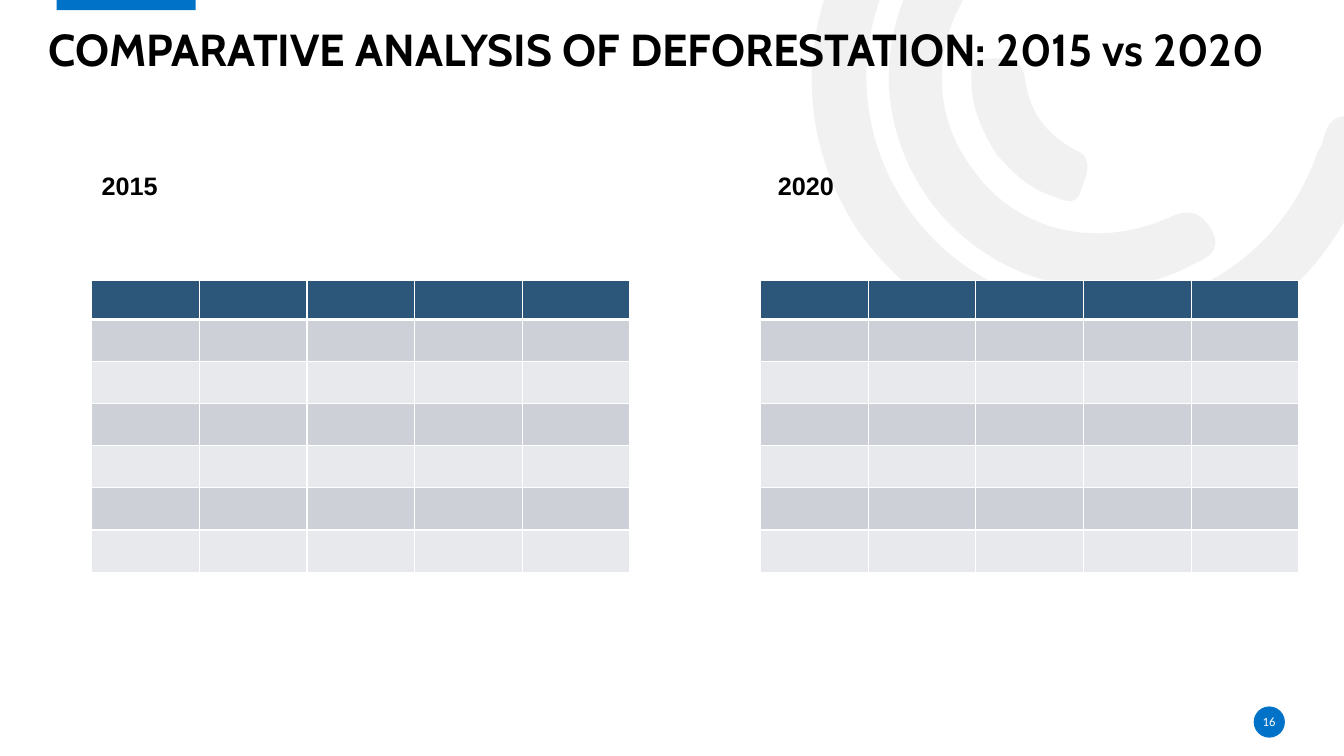
"""Build the slide comparing deforestation in 2015 and 2020."""
import math
from lxml import etree
from pptx import Presentation, util as u
from pptx.dml.color import RGBColor
from pptx.enum import shapes, text
from pptx.oxml import ns

TITLE = "COMPARATIVE ANALYSIS OF DEFORESTATION: 2015 vs 2020"
PAGE_NUMBER = "16"
YEARS = [("2015", 65.5, 65.5), ("2020", 548.6, 543.3)]
ROW_HEIGHTS = [28] + [30.1] * 6
COLUMN_COUNT, COLUMN_WIDTH, TABLE_TOP = 5, 76.9, 200.2
HEADER, BANDS = "2C567A", ["E8E9EC", "CDD1D7"]
BLUE, GREY, WHITE, BLACK = "0072C7", "E7E6E6", "FFFFFF", "000000"
GREY_OPACITY = 53
ARC_ROTATION = 324.2

ARCS = [
    ((585.4, -145.4, 349.2, 432), [
        (613, 165),
        (575, 107), (567, 36), (603, -36), (641, -109), (703, -146), (785, -149),
        (796, -149), (807, -151), (814, -140), (824, -126), (811, -111), (791, -111),
        (696, -111), (623, -42), (619, 49), (616, 130), (674, 202), (753, 217),
        (835, 233), (914, 188), (941, 109), (942, 107), (944, 104), (945, 101),
        (948, 86), (955, 80), (971, 84), (989, 89), (984, 102), (980, 112),
        (960, 176), (920, 221), (858, 246), (770, 279), (674, 248), (613, 165)]),
    ((648.7, -56.2, 153.4, 306.7), [
        (664, 143),
        (621, 83), (626, 5), (677, -49), (685, -57), (693, -68), (706, -56),
        (716, -46), (718, -36), (705, -23), (666, 19), (662, 78), (695, 121),
        (726, 165), (783, 179), (836, 155), (851, 148), (859, 153), (866, 165),
        (873, 180), (862, 184), (852, 189), (789, 223), (708, 203), (664, 143)]),
    ((705.6, 26.6, 56.2, 131.8), [
        (711, 109),
        (702, 94), (694, 77), (694, 59), (694, 53), (692, 41), (703, 42),
        (714, 42), (729, 38), (732, 55), (735, 79), (746, 95), (768, 107),
        (783, 113), (775, 127), (772, 136), (769, 148), (760, 143), (752, 140),
        (735, 135), (722, 122), (711, 109)]),
]


def paint(fill, color):
    fill.solid()
    fill.fore_color.rgb = RGBColor.from_string(color)


def finish(shape, color):
    paint(shape.fill, color)
    shape.line.fill.background()
    shape.shadow.inherit = False


def turn_back(point, box):
    left, top, width, height = box
    across, down = point[0] - left - width / 2, point[1] - top - height / 2
    cosine, sine = (f(math.radians(ARC_ROTATION)) for f in (math.cos, math.sin))
    return (u.Pt(across * cosine + down * sine + width / 2),
            u.Pt(down * cosine - across * sine + height / 2))


def add_arc(slide, box, points):
    local = [turn_back(point, box) for point in points]
    builder = slide.shapes.build_freeform(*local[0])
    builder.add_line_segments(local[3::3], close=True)
    shape = builder.convert_to_shape()
    shape.left, shape.top, shape.width, shape.height = map(u.Pt, box)
    shape.rotation = ARC_ROTATION
    finish(shape, GREY)
    color = shape.fill._xPr.find(".//" + ns.qn("a:srgbClr"))
    etree.SubElement(color, ns.qn("a:alpha"), val=str(GREY_OPACITY * 1000))

    outline = shape._element.find(".//" + ns.qn("a:pathLst"))[0]
    outline.set("w", str(shape.width))
    outline.set("h", str(shape.height))
    for command in list(outline):
        outline.remove(command)
    commands = [("a:moveTo", local[:1])]
    commands += [("a:cubicBezTo", local[i:i + 3]) for i in range(1, len(local), 3)]
    for tag, corners in commands + [("a:close", [])]:
        command = etree.SubElement(outline, ns.qn(tag))
        for x, y in corners:
            etree.SubElement(command, ns.qn("a:pt"), x=str(x), y=str(y))


def add_shape(slide, kind, box, color, rotation=0):
    shape = slide.shapes.add_shape(kind, *map(u.Pt, box))
    shape.rotation = rotation
    finish(shape, color)


def add_text(slide, words, box, font, size, color=BLACK, bold=True, inset=0,
             anchor=text.MSO_ANCHOR.TOP, align=text.PP_ALIGN.LEFT, spacing=1.0):
    frame = slide.shapes.add_textbox(*map(u.Pt, box)).text_frame
    frame.word_wrap = True
    frame.vertical_anchor = anchor
    frame.margin_left = frame.margin_right = u.Pt(inset)
    frame.margin_top = frame.margin_bottom = u.Pt(inset / 2)
    paragraph = frame.paragraphs[0]
    paragraph.text = words
    paragraph.alignment = align
    paragraph.line_spacing = spacing
    paragraph.font.name, paragraph.font.size, paragraph.font.bold = font, u.Pt(size), bold
    paragraph.font.color.rgb = RGBColor.from_string(color)


def add_borders(cell, row):
    widths = {"L": 1, "R": 1, "T": 3 if row == 1 else 1, "B": 3 if row == 0 else 1}
    properties = cell._tc.get_or_add_tcPr()
    for side, width in widths.items():
        line = etree.SubElement(properties, ns.qn("a:ln" + side), w=str(u.Pt(width)))
        solid = etree.SubElement(line, ns.qn("a:solidFill"))
        etree.SubElement(solid, ns.qn("a:srgbClr"), val=WHITE)


def add_year_table(slide, left):
    box = (left, TABLE_TOP, COLUMN_COUNT * COLUMN_WIDTH, sum(ROW_HEIGHTS))
    table = slide.shapes.add_table(len(ROW_HEIGHTS), COLUMN_COUNT, *map(u.Pt, box)).table
    for column in table.columns:
        column.width = u.Pt(COLUMN_WIDTH)
    for row, height in enumerate(ROW_HEIGHTS):
        table.rows[row].height = u.Pt(height)
        for cell in table.rows[row].cells:
            cell.margin_top = cell.margin_bottom = 0
            add_borders(cell, row)
            paint(cell.fill, BANDS[row % 2] if row else HEADER)


def main():
    presentation = Presentation()
    presentation.slide_width, presentation.slide_height = u.Pt(960), u.Pt(540)
    slide = presentation.slides.add_slide(presentation.slide_layouts[6])
    for box, points in ARCS:
        add_arc(slide, box, points)
    add_shape(slide, shapes.MSO_SHAPE.RECTANGLE, (40.5, -1.3, 99.2, 8.6), BLUE, 180)
    add_shape(slide, shapes.MSO_SHAPE.OVAL, (895.5, 504.6, 22.3, 22.3), BLUE)
    add_text(slide, TITLE, (34.6, 19.4, 884.2, 35.3), "Cabin", 32,
             anchor=text.MSO_ANCHOR.BOTTOM, spacing=0.9)
    add_text(slide, PAGE_NUMBER, (895, 508.3, 23, 14.4), "Calibri", 9, WHITE, False,
             anchor=text.MSO_ANCHOR.MIDDLE, align=text.PP_ALIGN.CENTER)
    for year, label_left, table_left in YEARS:
        add_text(slide, year, (label_left, 118.1, 55.4, 28.8), "Arial", 18, inset=7.2)
        add_year_table(slide, table_left)
    presentation.save("out.pptx")


if __name__ == "__main__":
    main()
